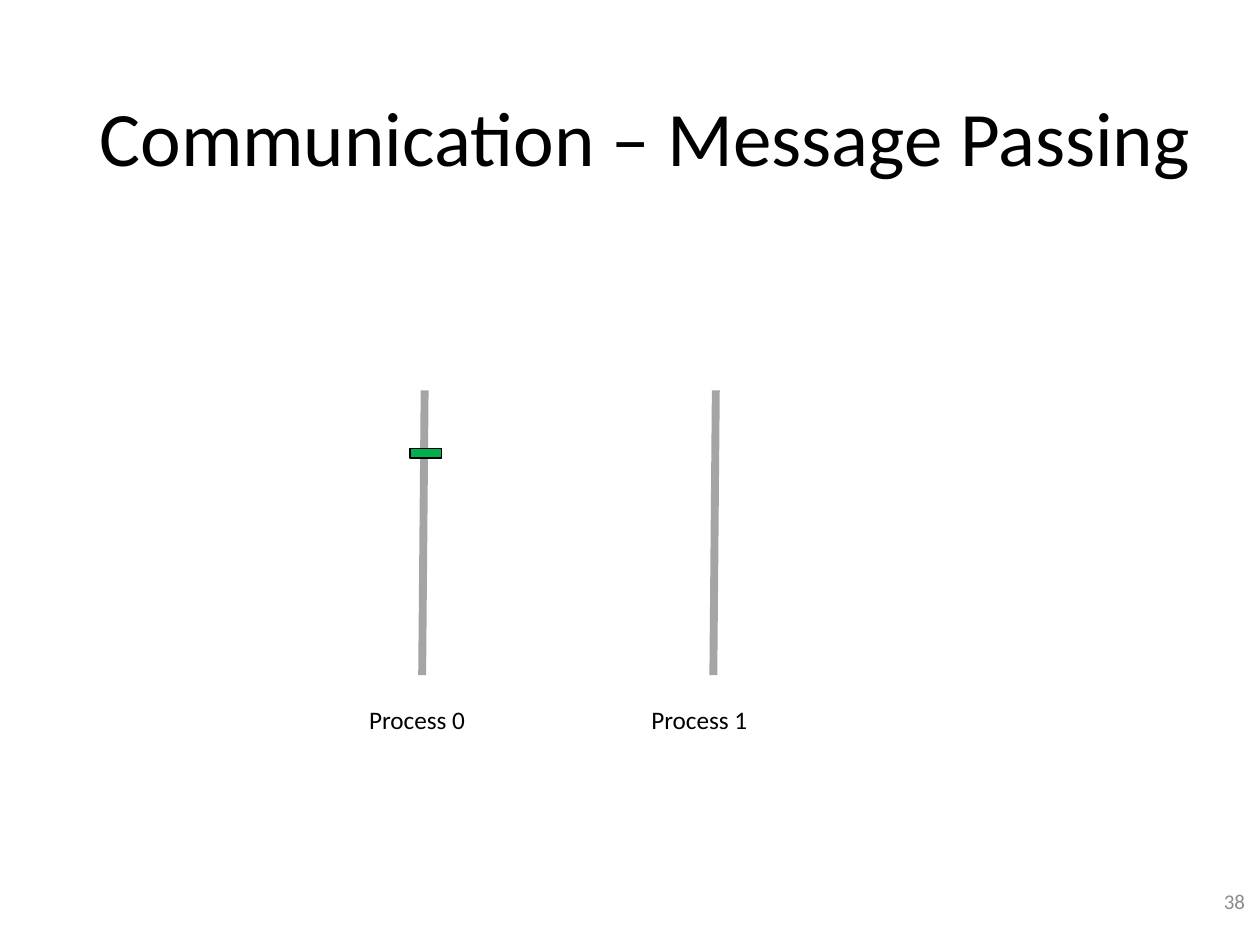
from lxml.etree import SubElement
from pptx import Presentation
from pptx.dml.color import RGBColor
from pptx.enum.shapes import MSO_CONNECTOR, MSO_SHAPE
from pptx.enum.text import MSO_ANCHOR, PP_ALIGN
from pptx.oxml.ns import qn
from pptx.util import Cm, Pt

BLACK = RGBColor(0x00, 0x00, 0x00)
GREY = RGBColor(0xA5, 0xA5, 0xA5)
NUMBER_GREY = RGBColor(0x8C, 0x8C, 0x8C)
GREEN = RGBColor(0x00, 0xB0, 0x50)
FONT = "Calibri"


def write_text(shape, text, size, color=BLACK, align=PP_ALIGN.LEFT,
               anchor=MSO_ANCHOR.TOP, line_spacing=None):
    frame = shape.text_frame
    frame.word_wrap = True
    frame.vertical_anchor = anchor
    paragraph = frame.paragraphs[0]
    paragraph.text = text
    paragraph.alignment = align
    paragraph.line_spacing = line_spacing
    paragraph.font.name = FONT
    paragraph.font.size = Pt(size)
    paragraph.font.color.rgb = color


def set_title(slide, text):
    title = slide.shapes.title
    title.left, title.top = Cm(1.75), Cm(1.02)
    title.width, title.height = Cm(23.37), Cm(3.68)
    write_text(title, text, 44, anchor=MSO_ANCHOR.MIDDLE, line_spacing=0.9)


def add_label(slide, text, left, top, width, height, **text_format):
    box = slide.shapes.add_textbox(Cm(left), Cm(top), Cm(width), Cm(height))
    write_text(box, text, **text_format)


def add_timeline(slide, left):
    line = slide.shapes.add_connector(
        MSO_CONNECTOR.STRAIGHT, Cm(left), Cm(7.87), Cm(left - 0.05), Cm(13.61))
    line.line.color.rgb = GREY
    line.line.width = Pt(4.5)
    SubElement(line._element.spPr, qn("a:effectLst"))


def add_message(slide, left, top, width, height):
    message = slide.shapes.add_shape(
        MSO_SHAPE.RECTANGLE, Cm(left), Cm(top), Cm(width), Cm(height))
    message.shadow.inherit = False
    message.fill.solid()
    message.fill.fore_color.rgb = GREEN
    message.line.color.rgb = BLACK
    message.line.width = Pt(1)


def main():
    presentation = Presentation()
    presentation.slide_width = Cm(25.4)
    presentation.slide_height = Cm(19.05)
    slide = presentation.slides.add_slide(presentation.slide_layouts[5])
    set_title(slide, "Communication – Message Passing")
    add_label(slide, "38", 19.63, 17.65, 5.72, 1.02, size=12, color=NUMBER_GREY,
              align=PP_ALIGN.RIGHT, anchor=MSO_ANCHOR.MIDDLE)
    for process, (line_left, label_left) in enumerate([(8.56, 7.19), (14.43, 12.88)]):
        add_timeline(slide, line_left)
        add_label(slide, f"Process {process}", label_left, 14.07, 2.62, 0.86, size=14.4)
    add_message(slide, 8.26, 9.04, 0.64, 0.2)
    presentation.save("out.pptx")


if __name__ == "__main__":
    main()
